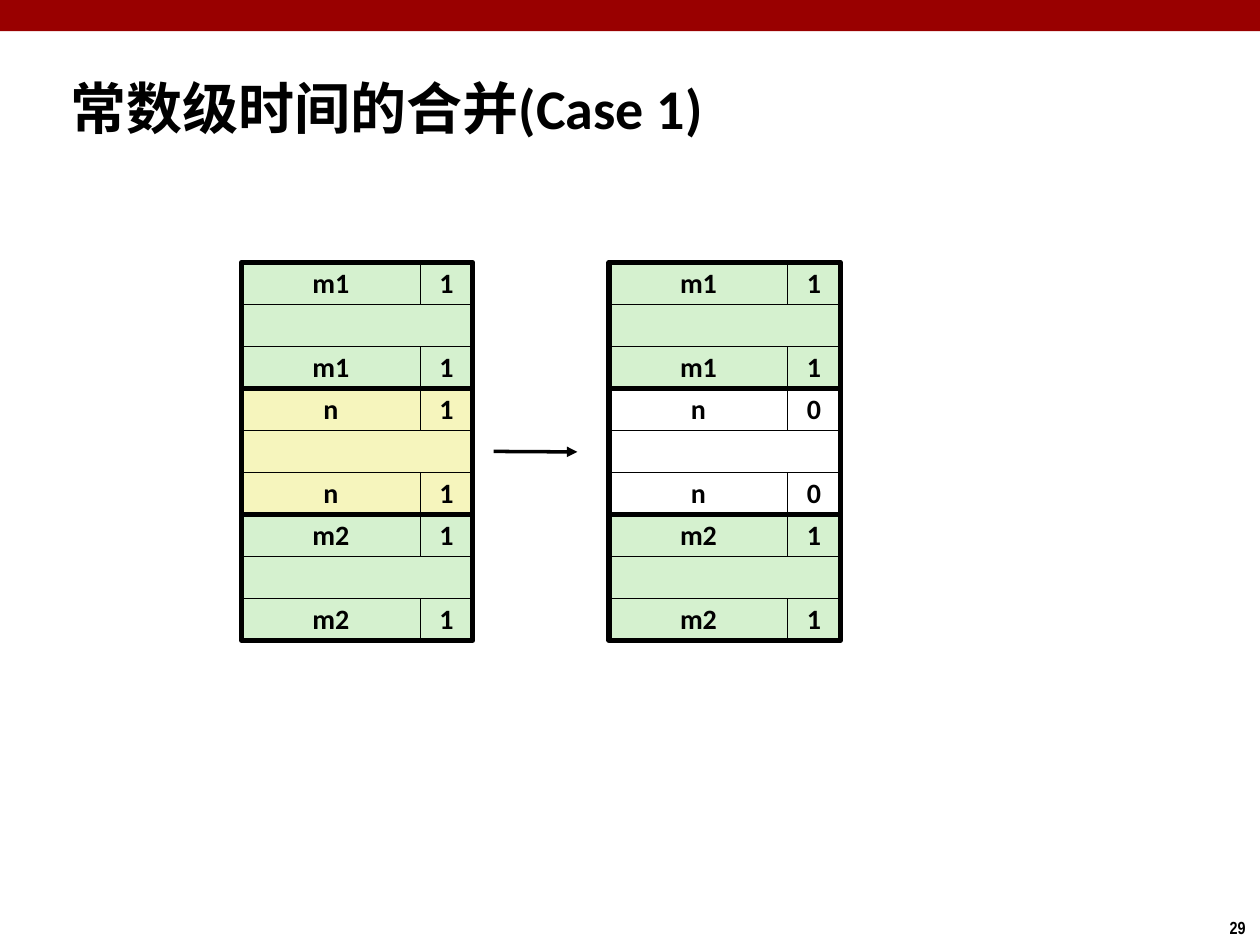
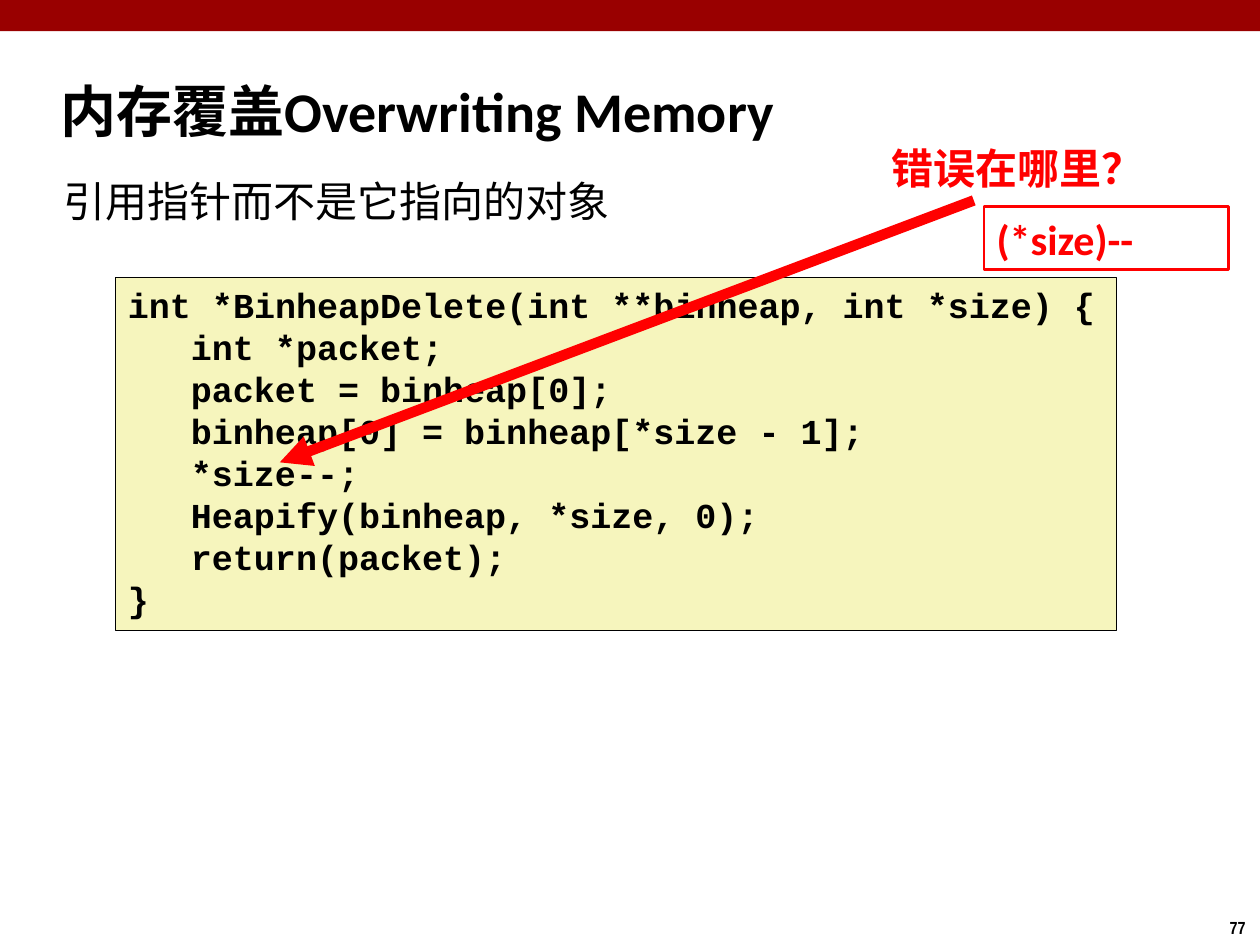
from dataclasses import dataclass
from typing import NamedTuple

from lxml.etree import SubElement
from pptx import Presentation
from pptx.dml.color import RGBColor
from pptx.enum.shapes import MSO_CONNECTOR as Link, MSO_SHAPE as Shape
from pptx.enum.text import MSO_ANCHOR as Anchor, PP_ALIGN as Align
from pptx.oxml.ns import qn
from pptx.util import Cm, Pt


@dataclass(frozen=True)
class Theme:
    band: str = "990000"
    ink: str = "000000"
    alert: str = "FF0000"
    used: str = "D5F1CF"
    target: str = "F6F5BD"
    free: str = "FFFFFF"
    sans: str = "Calibri"
    mono: str = "Courier New"
    narrow: str = "Arial Narrow"
    cjk: str = "Noto Sans CJK SC"
    title: int = 32
    body: int = 24
    code: int = 20
    cell: int = 16
    page: int = 10
    hair: float = 0.25
    frame: float = 3


THEME = Theme()


class Box(NamedTuple):
    """Left, top, width and height in centimetres."""
    x: float
    y: float
    w: float
    h: float


class Style(NamedTuple):
    size: int
    font: str = THEME.sans
    color: str = THEME.ink
    bold: bool = True
    align: Align = Align.LEFT
    anchor: Anchor = Anchor.TOP
    spacing: float = 1.0
    before: float = 0


class Block(NamedTuple):
    size: str
    flag: str
    fill: str


class CodeLine(NamedTuple):
    text: str
    depth: int = 1


TITLE = Style(THEME.title, anchor=Anchor.MIDDLE)
CELL = Style(THEME.cell, align=Align.CENTER, anchor=Anchor.MIDDLE, spacing=0.98)
CODE = Style(THEME.code, THEME.mono)
ALERT = Style(THEME.body, color=THEME.alert)

BLOCK_H = 2.54
ROW_H = BLOCK_H / 3
SIZE_W, FLAG_W = 3.6, 1.06
BLOCK_W = SIZE_W + FLAG_W
HEAP_TOP = 5.29
INDENT = 1.27  # three code characters

BEFORE = [Block("m1", "1", THEME.used), Block("n", "1", THEME.target),
          Block("m2", "1", THEME.used)]
AFTER = [Block("m1", "1", THEME.used), Block("n", "0", THEME.free),
         Block("m2", "1", THEME.used)]

LISTING = [
    CodeLine("int *BinheapDelete(int **binheap, int *size) {", 0),
    CodeLine("int *packet;"),
    CodeLine("packet = binheap[0];"),
    CodeLine("binheap[0] = binheap[*size - 1];"),
    CodeLine("*size--;"),
    CodeLine("Heapify(binheap, *size, 0);"),
    CodeLine("return(packet);"),
    CodeLine("}", 0),
]


def rgb(color: str) -> RGBColor:
    return RGBColor.from_string(color)


def write(shape, lines: list[CodeLine], style: Style, wrap: bool = True) -> None:
    frame = shape.text_frame
    frame.word_wrap = wrap
    frame.vertical_anchor = style.anchor
    for i, line in enumerate(lines):
        para = frame.add_paragraph() if i else frame.paragraphs[0]
        para.text = line.text
        para.alignment = style.align
        para.line_spacing = style.spacing
        para.space_before = Pt(style.before)
        font = para.font
        font.size, font.bold, font.name = Pt(style.size), style.bold, style.font
        font.color.rgb = rgb(style.color)
        props = para._p.get_or_add_pPr()
        east = SubElement(props.find(qn("a:defRPr")), qn("a:ea"))
        east.set("typeface", THEME.cjk)
        if line.depth:
            props.set("marL", str(Cm(INDENT * line.depth)))


def add_text(slide, box: Box, text: str, style: Style, wrap: bool = True) -> None:
    shape = slide.shapes.add_textbox(*map(Cm, box))
    write(shape, [CodeLine(text, 0)], style, wrap)


def add_rect(slide, box: Box, fill: str | None = None,
             line: str | None = None, width: float = THEME.hair):
    rect = slide.shapes.add_shape(Shape.RECTANGLE, *map(Cm, box))
    rect.shadow.inherit = False
    if fill:
        rect.fill.solid()
        rect.fill.fore_color.rgb = rgb(fill)
    else:
        rect.fill.background()
    if line:
        rect.line.color.rgb = rgb(line)
        rect.line.width = Pt(width)
    else:
        rect.line.fill.background()
    return rect


def add_arrow(slide, start: tuple[float, float], end: tuple[float, float],
              color: str, width: float) -> None:
    arrow = slide.shapes.add_connector(Link.STRAIGHT, *map(Cm, start + end))
    arrow.line.color.rgb = rgb(color)
    arrow.line.width = Pt(width)
    props = arrow._element.spPr
    SubElement(props.get_or_add_ln(), qn("a:tailEnd")).set("type", "triangle")
    SubElement(props, qn("a:effectLst"))


def add_slide(deck, page: str, title: str, box: Box, style: Style = TITLE):
    """Add a slide with the top band, page number and title."""
    slide = deck.slides.add_slide(deck.slide_layouts[6])
    add_rect(slide, Box(0, 0, 25.4, 0.63), THEME.band)
    add_text(slide, Box(24.54, 18.36, 0.86, 0.69), page,
             Style(THEME.page, THEME.narrow), wrap=False)
    add_text(slide, box, title, style)
    return slide


def add_heap(slide, x: float, blocks: list[Block]) -> None:
    """Stack blocks, each with a header, a payload and a footer row."""
    for i, block in enumerate(blocks):
        top = HEAP_TOP + i * BLOCK_H
        add_rect(slide, Box(x, top + ROW_H, BLOCK_W, ROW_H), block.fill, THEME.ink)
        for y in (top, top + 2 * ROW_H):
            for left, width, text in ((x, SIZE_W, block.size),
                                      (x + SIZE_W, FLAG_W, block.flag)):
                cell = add_rect(slide, Box(left, y, width, ROW_H),
                                block.fill, THEME.ink)
                write(cell, [CodeLine(text, 0)], CELL)
        add_rect(slide, Box(x, top, BLOCK_W, BLOCK_H), None, THEME.ink, THEME.frame)


def merge_slide(deck) -> None:
    slide = add_slide(deck, "29", "常数级时间的合并(Case 1)",
                      Box(1.17, 1.35, 23.06, 1.6))
    add_heap(slide, 4.87, BEFORE)
    add_heap(slide, 12.28, AFTER)
    add_arrow(slide, (9.95, 9.1), (11.64, 9.11), THEME.ink, 2)


def memory_slide(deck) -> None:
    slide = add_slide(deck, "77", "内存覆盖Overwriting Memory",
                      Box(0.97, 1.22, 24.2, 2.18), TITLE._replace(spacing=0.87))
    add_text(slide, Box(1.04, 3.48, 23.09, 14.5), "引用指针而不是它指向的对象",
             Style(THEME.body, bold=False, spacing=0.95, before=4.8))
    code = add_rect(slide, Box(2.33, 5.59, 20.18, 7.11), THEME.target, THEME.ink)
    write(code, LISTING, CODE)
    add_text(slide, Box(17.73, 2.74, 7.67, 1.27), "错误在哪里？",
             ALERT._replace(font=THEME.cjk))
    add_arrow(slide, (19.63, 4.04), (5.64, 9.32), THEME.alert, 6)
    answer = add_rect(slide, Box(19.84, 4.17, 4.93, 1.27), None, THEME.alert, 1.5)
    write(answer, [CodeLine("(*size)--", 0)], ALERT)


def main() -> None:
    deck = Presentation()
    deck.slide_width, deck.slide_height = Cm(25.4), Cm(19.05)
    merge_slide(deck)
    memory_slide(deck)
    deck.save("out.pptx")


if __name__ == "__main__":
    main()
